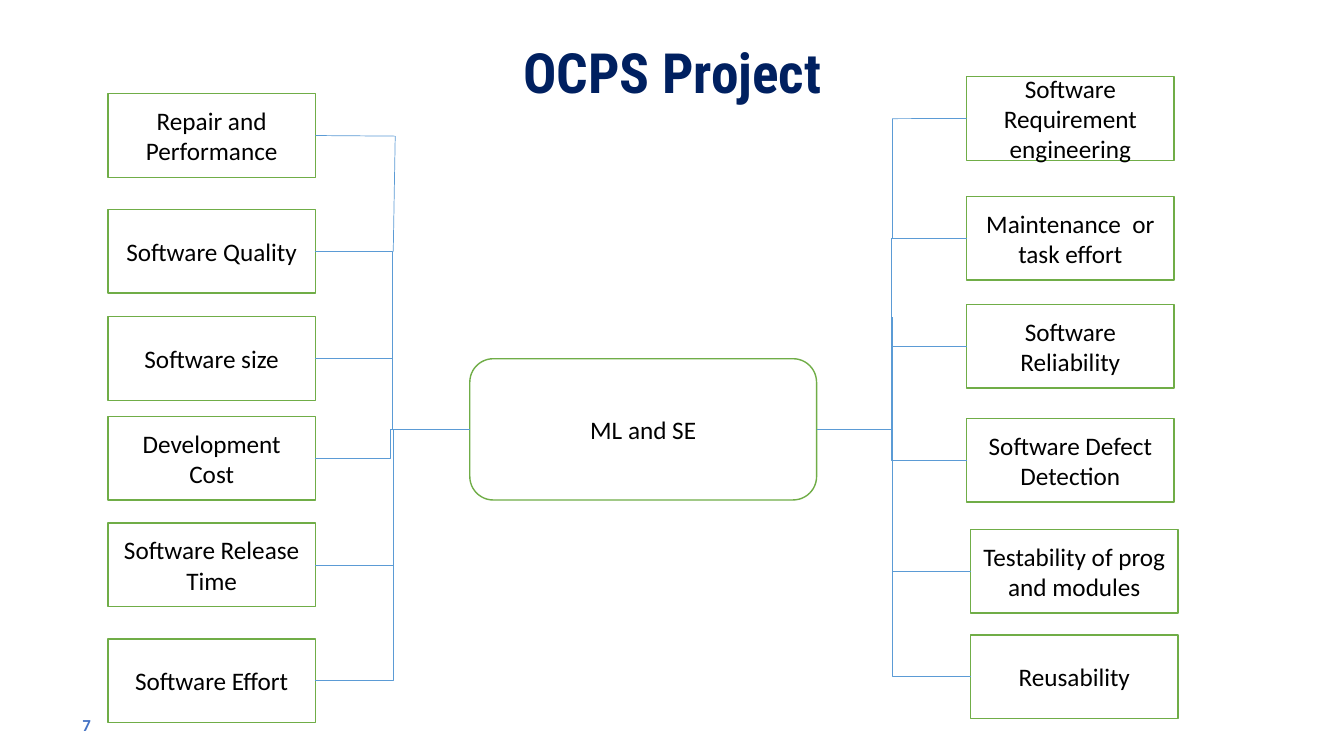
from lxml import etree
from pptx import Presentation, util as u
from pptx.dml.color import RGBColor
from pptx.enum import shapes, text
from pptx.oxml.ns import qn

GREEN, BLUE, NAVY = "70AD47", "5B9BD5", "002060"
BOX_W, BOX_H = 5.23, 2.11
LEFT_X, RIGHT_X, RIGHT_LOW_X = 2.72, 24.36, 24.46
LEFT_TRUNK, RIGHT_TRUNK = 9.91, 22.48
HUB_X, HUB_Y, HUB_W, HUB_H = 11.84, 9.04, 8.74, 3.56
HUB_MID = HUB_Y + HUB_H / 2

LEFT_TOPICS = [
    ("Software Quality", 5.28, HUB_X, HUB_MID),
    ("Software size", 7.98, HUB_X, HUB_MID),
    ("Development Cost", 10.49, 11.71, HUB_MID),
    ("Software Release Time", 13.18, LEFT_TRUNK, HUB_MID),
    ("Software Effort", 16.1, LEFT_TRUNK, 13.72),
]
RIGHT_TOPICS = [
    ("Maintenance  or task effort", RIGHT_X, 4.95, HUB_X + HUB_W, HUB_MID),
    ("Software Reliability", RIGHT_X, 7.67, HUB_X + HUB_W, HUB_MID),
    ("Software Defect Detection", RIGHT_X, 10.54, HUB_X + HUB_W, HUB_MID),
    ("Testability of prog and modules", RIGHT_LOW_X, 13.34, RIGHT_TRUNK, 11.07),
    ("Reusability", RIGHT_LOW_X, 16, RIGHT_TRUNK, 7.98),
]


def cm(*values):
    return [u.Cm(v) for v in values]


def rgb(value):
    return RGBColor.from_string(value)


def write(sp, words, size, color, font="Calibri", bold=False, align=text.PP_ALIGN.CENTER):
    tf = sp.text_frame
    tf.word_wrap = True
    tf.auto_size = text.MSO_AUTO_SIZE.NONE
    tf.vertical_anchor = text.MSO_ANCHOR.MIDDLE
    p = tf.paragraphs[0]
    p.alignment = align
    r = p.add_run()
    r.text = words
    r.font.size = u.Pt(size)
    r.font.name = font
    r.font.bold = bold
    r.font.color.rgb = rgb(color)
    return p


def add_title(s, words):
    sp = s.shapes.title
    sp.left, sp.top, sp.width, sp.height = cm(2.34, 1.02, 29.21, 1.75)
    p = write(sp, words, 39.6, NAVY, "Roboto Condensed", True)
    p.line_spacing = 0.9


def add_number(s, words):
    sp = s.shapes.add_textbox(*cm(1.83, 17.75, 7.62, 1.02))
    write(sp, words, 12, "4472C4", bold=True, align=text.PP_ALIGN.LEFT)


def add_box(s, words, x, y, w=BOX_W, h=BOX_H, kind=shapes.MSO_SHAPE.RECTANGLE):
    sp = s.shapes.add_shape(kind, *cm(x, y, w, h))
    sp.shadow.inherit = False
    sp.fill.solid()
    sp.fill.fore_color.rgb = rgb("FFFFFF")
    sp.line.color.rgb = rgb(GREEN)
    sp.line.width = u.Pt(1)
    write(sp, words, 18, "000000")
    return sp


def add_link(s, start, end, kind=shapes.MSO_CONNECTOR.STRAIGHT):
    cxn = s.shapes.add_connector(kind, *cm(*start, *end))
    cxn.line.color.rgb = rgb(BLUE)
    cxn.line.width = u.Pt(0.5)
    etree.SubElement(cxn._element.spPr, qn("a:effectLst"))
    return cxn


def add_elbow(s, start, end, trunk):
    cxn = add_link(s, start, end, shapes.MSO_CONNECTOR.ELBOW)
    if end[0] == trunk:
        cxn._element.spPr.find(qn("a:prstGeom")).set("prst", "bentConnector2")


def add_top_topic(s, words, x, y, site, corner, trunk_end):
    box = add_box(s, words, x, y)
    add_link(s, trunk_end, corner)
    edge = x if site == 1 else x + BOX_W
    add_link(s, corner, (edge, corner[1])).end_connect(box, site)


def main():
    prs = Presentation()
    prs.slide_width, prs.slide_height = cm(33.87, 19.05)
    s = prs.slides.add_slide(prs.slide_layouts[5])
    add_title(s, "OCPS Project")
    add_number(s, "7")
    add_box(s, "ML and SE", HUB_X, HUB_Y, HUB_W, HUB_H, shapes.MSO_SHAPE.ROUNDED_RECTANGLE)

    for words, y, end_x, end_y in LEFT_TOPICS:
        add_box(s, words, LEFT_X, y)
        add_elbow(s, (LEFT_X + BOX_W, y + BOX_H / 2), (end_x, end_y), LEFT_TRUNK)
    for words, x, y, end_x, end_y in RIGHT_TOPICS:
        add_box(s, words, x, y)
        add_elbow(s, (x, y + BOX_H / 2), (end_x, end_y), RIGHT_TRUNK)

    add_top_topic(s, "Repair and Performance", LEFT_X, 2.36, 3,
                  (9.96, 3.43), (LEFT_TRUNK, 6.34))
    add_top_topic(s, "Software Requirement engineering", RIGHT_X, 1.93, 1,
                  (RIGHT_TRUNK, 2.99), (RIGHT_TRUNK, 6.01))
    prs.save("out.pptx")


if __name__ == "__main__":
    main()
